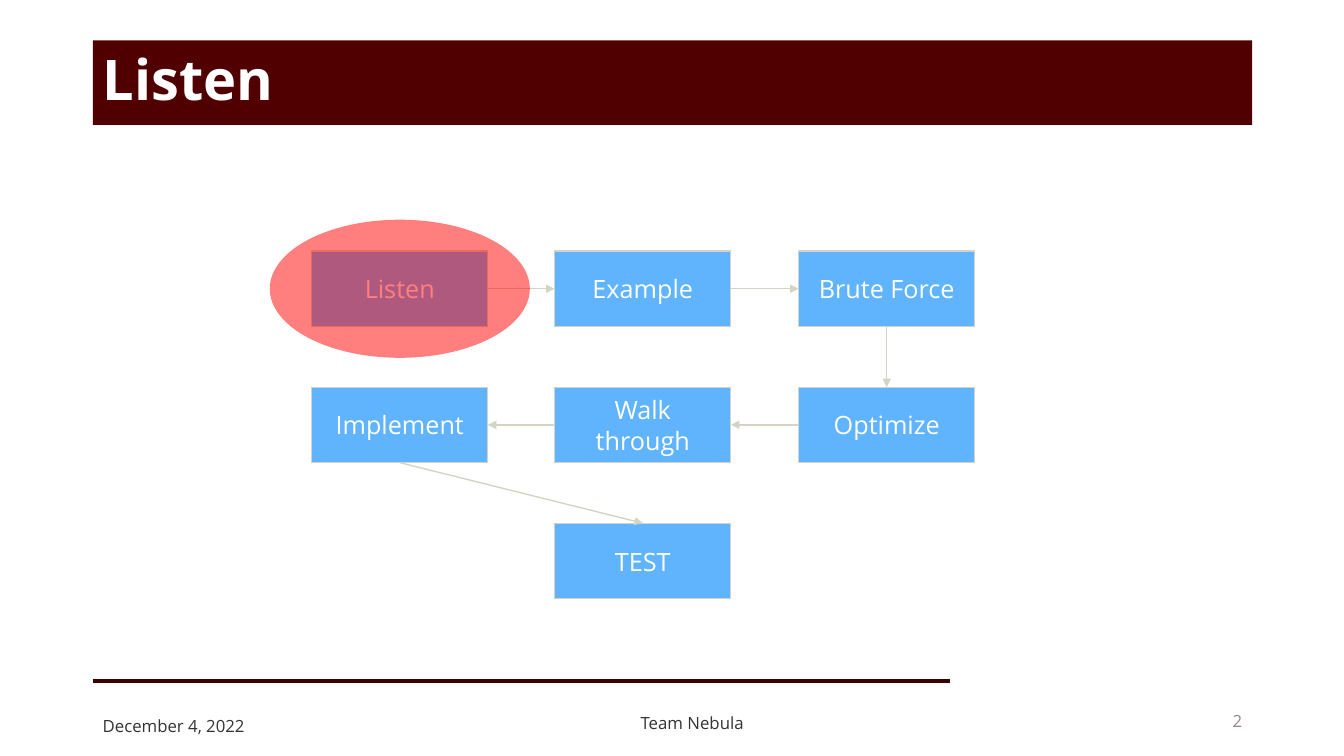
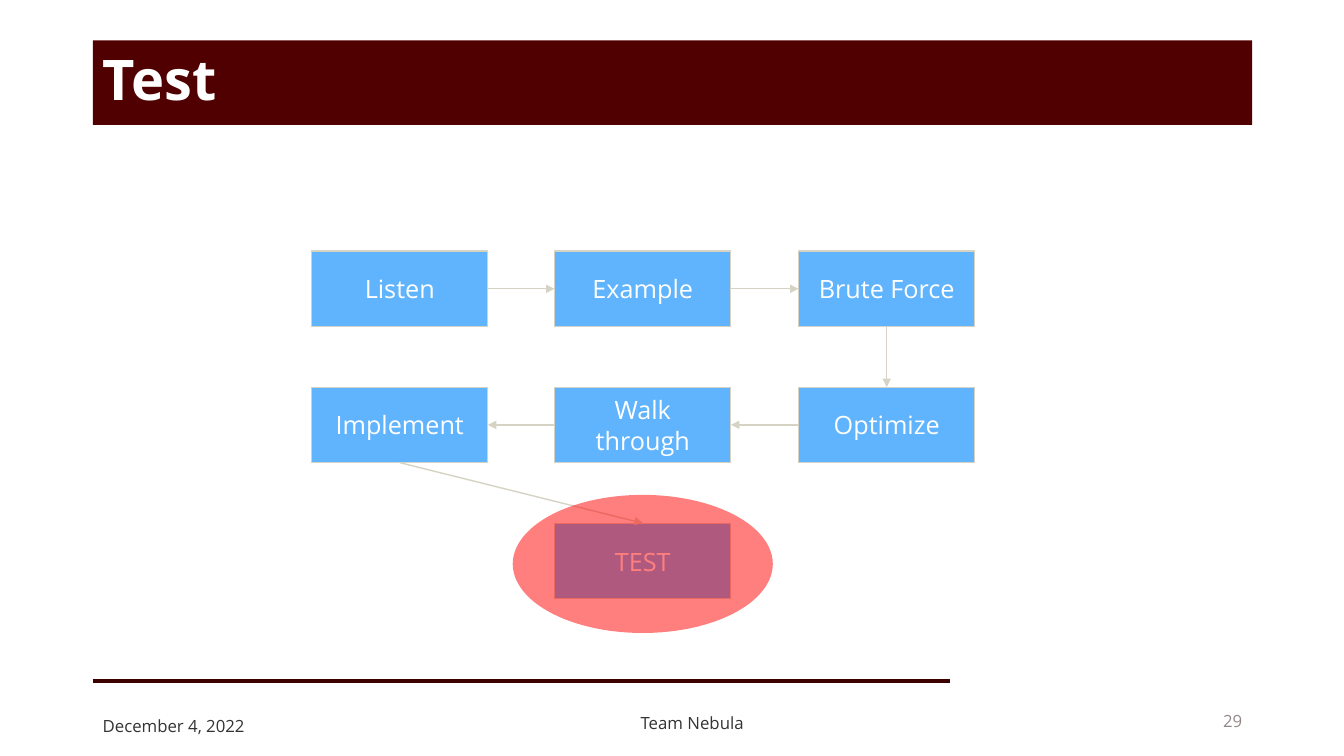
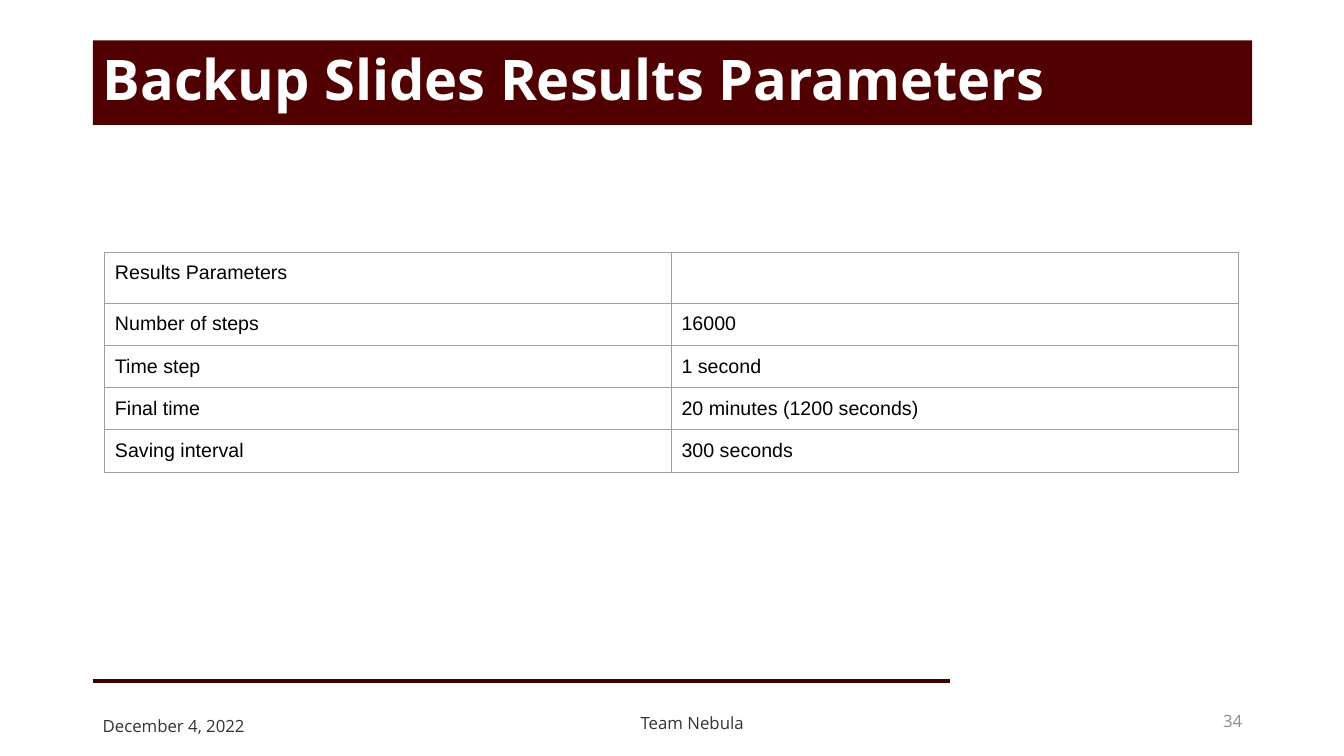
from lxml.etree import SubElement
from pptx import Presentation
from pptx.dml.color import RGBColor
from pptx.enum.shapes import MSO_CONNECTOR as Connector, MSO_SHAPE as Preset
from pptx.enum.text import MSO_ANCHOR as Anchor, MSO_AUTO_SIZE as AutoSize, PP_ALIGN as Align
from pptx.oxml.ns import qn
from pptx.util import Inches, Pt

COLORS = {
    "band": "500000", "rule": "3C0000", "white": "FFFFFF", "black": "000000",
    "footer": "333333", "number": "958888", "box": "60B4FE", "edge": "D6D3C4",
    "highlight": "FF0000", "grid": "9E9E9E",
}
TOP, LEFT, BOTTOM, RIGHT = range(4)

# Flow chart: box size, grid and the steps in reading order
BOX_WIDTH, BOX_HEIGHT = 1.75, 0.75
COLUMN_LEFTS = (3.09, 5.5, 7.92)
FIRST_ROW, ROW_STEP = 2.49, 1.35
STEPS = {  # label: (column, row)
    "Listen": (0, 0), "Example": (1, 0), "Brute Force": (2, 0),
    "Optimize": (2, 1), "Walk through": (1, 1), "Implement": (0, 1),
    "TEST": (1, 2),
}
JOINTS = [(RIGHT, LEFT), (RIGHT, LEFT), (BOTTOM, TOP),
          (LEFT, RIGHT), (LEFT, RIGHT), (BOTTOM, TOP)]

PARAMETERS = [
    ("Results Parameters", ""),
    ("Number of steps", "16000"),
    ("Time step", "1 second"),
    ("Final time", "20 minutes (1200 seconds)"),
    ("Saving interval", "300 seconds"),
]


def color(name):
    return RGBColor.from_string(COLORS[name])


def write(frame, text, size=12, font="Open Sans", fill="footer", bold=False,
          align=Align.LEFT, anchor=Anchor.MIDDLE, spacing=None):
    """Put one formatted paragraph into a text frame."""
    frame.word_wrap = True
    frame.auto_size = AutoSize.NONE
    frame.vertical_anchor = anchor
    paragraph = frame.paragraphs[0]
    paragraph.alignment = align
    if spacing:
        paragraph.line_spacing = spacing
    run = paragraph.add_run()
    run.text = text
    run.font.size = Pt(size)
    run.font.name = font
    run.font.bold = bold
    run.font.color.rgb = color(fill)


class Deck:
    """Holds the shared style and the current slide."""

    def __init__(self):
        self.presentation = Presentation()
        self.presentation.slide_width = Inches(13.33)
        self.presentation.slide_height = Inches(7.5)
        self.slide = None

    def new_slide(self, title, number):
        layout = self.presentation.slide_layouts[5]
        self.slide = self.presentation.slides.add_slide(layout)
        # Title band
        band = self.slide.shapes.title
        band.left, band.top = Inches(0.92), Inches(0.4)
        band.width, band.height = Inches(11.5), Inches(0.84)
        band.fill.solid()
        band.fill.fore_color.rgb = color("band")
        write(band.text_frame, title, size=40, fill="white", bold=True, spacing=0.9)
        # Footer
        self.line("rule", 3, (0.92, 6.76), (9.42, 6.76))
        self.text("December 4, 2022", 0.92, 6.95, 3, anchor=Anchor.TOP, spacing=1.5)
        self.text("Team Nebula", 4.42, 6.97, 4.89, align=Align.CENTER)
        self.text(str(number), 9.42, 6.95, 3, align=Align.RIGHT, fill="number")

    def text(self, text, left, top, width, **style):
        shape = self.slide.shapes.add_textbox(
            Inches(left), Inches(top), Inches(width), Inches(0.4))
        write(shape.text_frame, text, **style)

    def line(self, name, width, start=(0, 0), end=(0, 0)):
        points = [Inches(value) for value in (*start, *end)]
        line = self.slide.shapes.add_connector(Connector.STRAIGHT, *points)
        line.line.color.rgb = color(name)
        line.line.width = Pt(width)
        SubElement(line._element.spPr, qn("a:effectLst"))
        return line

    def arrow(self, source, source_side, target, target_side):
        arrow = self.line("edge", 1)
        arrow.begin_connect(source, source_side)
        arrow.end_connect(target, target_side)
        SubElement(arrow.line._get_or_add_ln(), qn("a:tailEnd"), type="triangle")

    def shape(self, preset, left, top, width, height, fill):
        shape = self.slide.shapes.add_shape(
            preset, Inches(left), Inches(top), Inches(width), Inches(height))
        shape.shadow.inherit = False
        shape.fill.solid()
        shape.fill.fore_color.rgb = color(fill)
        shape.line.fill.background()
        return shape

    def box(self, label, column, row):
        box = self.shape(Preset.RECTANGLE, COLUMN_LEFTS[column],
                         FIRST_ROW + row * ROW_STEP, BOX_WIDTH, BOX_HEIGHT, "box")
        box.line.color.rgb = color("edge")
        box.line.width = Pt(0.75)
        write(box.text_frame, label, size=18, fill="white", align=Align.CENTER)
        return box

    def highlight(self, column, row, drop, width=2.58, height=1.37):
        """Cover one step with a half-transparent ellipse."""
        left = COLUMN_LEFTS[column] + (BOX_WIDTH - width) / 2
        top = FIRST_ROW + row * ROW_STEP + (BOX_HEIGHT - height) / 2 + drop
        ellipse = self.shape(Preset.OVAL, left, top, width, height, "highlight")
        tint = ellipse._element.spPr.find(qn("a:solidFill"))[0]
        SubElement(tint, qn("a:alpha"), val="50000")

    def flow(self, current, drop=0):
        boxes = [self.box(label, *place) for label, place in STEPS.items()]
        for source, target, (start, end) in zip(boxes, boxes[1:], JOINTS):
            self.arrow(source, start, target, end)
        self.highlight(*STEPS[current], drop)

    def table(self, rows, left, top, column_width, row_heights):
        table = self.slide.shapes.add_table(
            len(rows), len(rows[0]), Inches(left), Inches(top),
            Inches(column_width * len(rows[0])), Inches(sum(row_heights))).table
        table.first_row = table.horz_banding = False
        for column in table.columns:
            column.width = Inches(column_width)
        for row, height, values in zip(table.rows, row_heights, rows):
            row.height = Inches(height)
            for cell, value in zip(row.cells, values):
                self.cell(cell, value)

    def cell(self, cell, value):
        cell.margin_left = cell.margin_right = Inches(0.1)
        cell.margin_top = cell.margin_bottom = Inches(0.1)
        for side in ("lnL", "lnR", "lnT", "lnB"):
            border = SubElement(cell._tc.get_or_add_tcPr(), qn(f"a:{side}"),
                                w=str(Pt(0.75)))
            fill = SubElement(border, qn("a:solidFill"))
            SubElement(fill, qn("a:srgbClr"), val=COLORS["grid"])
        cell.fill.background()
        if value:
            write(cell.text_frame, value, size=14, font="Arial", fill="black",
                  anchor=Anchor.TOP)


def main():
    deck = Deck()

    # Flow charts
    deck.new_slide("Listen", 2)
    deck.flow("Listen")
    deck.new_slide("Test", 29)
    deck.flow("TEST", drop=0.03)

    # Parameter table
    deck.new_slide("Backup Slides Results Parameters", 34)
    deck.table(PARAMETERS, 1.04, 2.5, 5.62, [0.48] + [0.42] * 4)

    deck.presentation.save("out.pptx")


if __name__ == "__main__":
    main()
